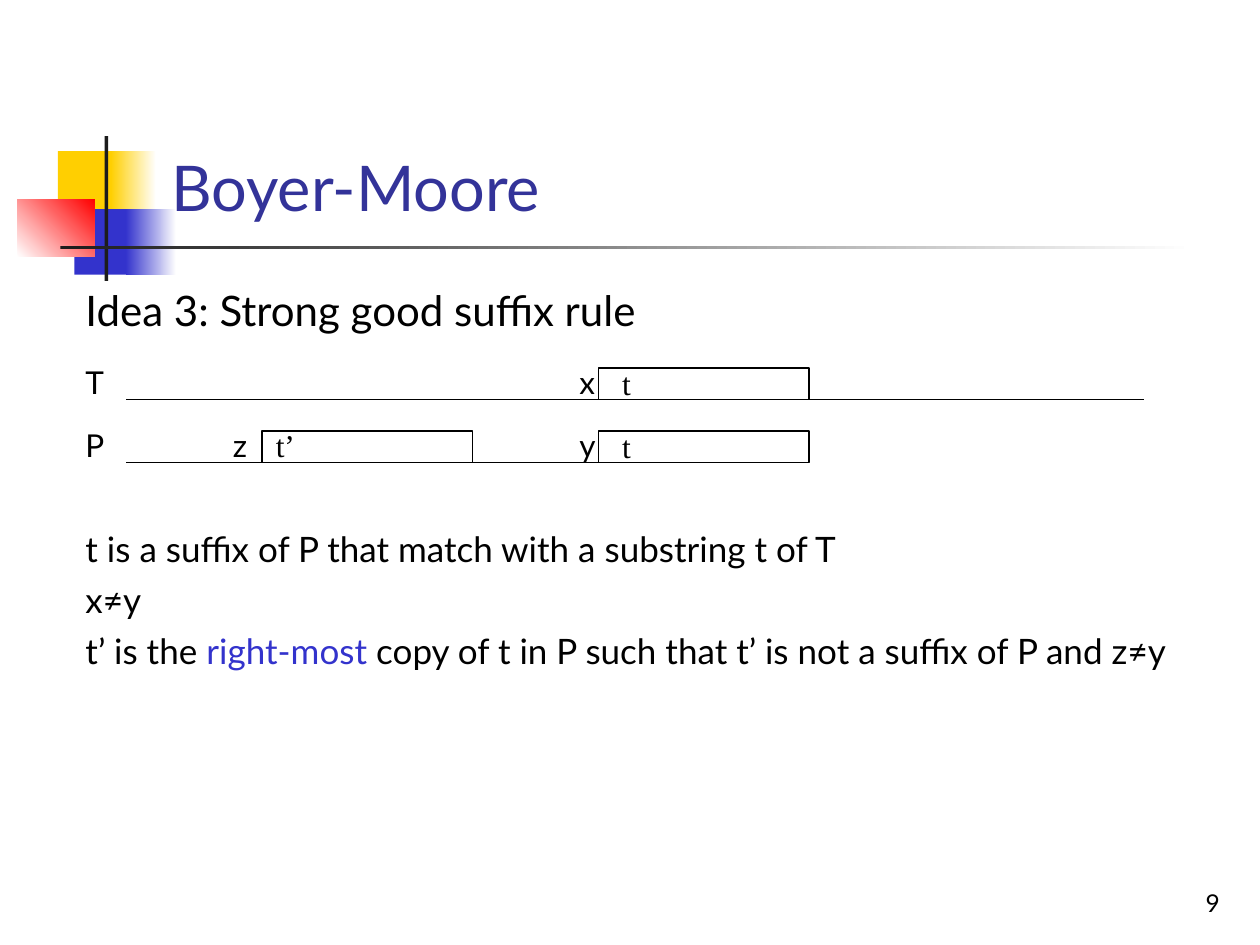
from lxml import etree
from pptx import Presentation
from pptx.dml.color import RGBColor
from pptx.enum.shapes import MSO_CONNECTOR, MSO_SHAPE
from pptx.enum.text import MSO_ANCHOR, MSO_AUTO_SIZE, PP_ALIGN
from pptx.oxml.ns import qn
from pptx.util import Inches, Pt

RECT, PROCESS = MSO_SHAPE.RECTANGLE, MSO_SHAPE.FLOWCHART_PROCESS
STRAIGHT = MSO_CONNECTOR.STRAIGHT
TOP, BOTTOM = MSO_ANCHOR.TOP, MSO_ANCHOR.BOTTOM
LEFT, RIGHT = PP_ALIGN.LEFT, PP_ALIGN.RIGHT
FIT_TEXT = MSO_AUTO_SIZE.SHAPE_TO_FIT_TEXT

COLORS = {
    "yellow": "FFCF01", "blue": "3333CC", "red": "FF0000", "white": "FFFFFF",
    "dark": "1C1C1C", "title": "333399", "black": "000000",
}
SANS, SERIF = "Lato", "Times New Roman"
ROW_T, ROW_P = 3.17, 3.67
BOX_W, BOX_H = 1.67, 0.25
SUFFIX_X, COPY_X = 4.75, 2.08


def rgb(name):
    return RGBColor.from_string(COLORS[name])


def add_block(slide, x, y, w, h, start, end=None, angle=0):
    """Add a decorative rectangle, plain or fading from start to end."""
    sp = slide.shapes.add_shape(RECT, Inches(x), Inches(y), Inches(w), Inches(h))
    sp.shadow.inherit = False
    sp.line.fill.background()
    if end is None:
        sp.fill.solid()
        sp.fill.fore_color.rgb = rgb(start)
        return
    sp.fill.gradient()
    sp.fill.gradient_angle = angle
    for stop, name in zip(sp.fill.gradient_stops, (start, end)):
        stop.color.rgb = rgb(name)


def add_text(slide, x, y, w, h, paragraphs, size=18, font=SANS, color="black",
             align=LEFT, anchor=TOP, wrap=True, fit=False, space=0):
    """Add a text box; a paragraph is a string or a list of (text, color) runs."""
    tf = slide.shapes.add_textbox(Inches(x), Inches(y), Inches(w), Inches(h)).text_frame
    tf.word_wrap = wrap
    tf.vertical_anchor = anchor
    if fit:
        tf.auto_size = FIT_TEXT
    for i, runs in enumerate(paragraphs):
        p = tf.add_paragraph() if i else tf.paragraphs[0]
        p.alignment = align
        if i and space:
            p.space_before = Pt(space)
        for text, run_color in [(runs, color)] if isinstance(runs, str) else runs:
            r = p.add_run()
            r.text = text
            r.font.size = Pt(size)
            r.font.name = font
            r.font.color.rgb = rgb(run_color)


def add_label(slide, x, y, w, text, **fmt):
    add_text(slide, x, y, w, 0.4, [text], fit=True, **fmt)


def add_string_line(slide, y, end):
    line = slide.shapes.add_connector(STRAIGHT, Inches(1), Inches(y), Inches(end), Inches(y))
    line.line.color.rgb = rgb("black")
    line.line.width = Pt(0.75)
    etree.SubElement(line._element.spPr, qn("a:effectLst"))


def add_substring(slide, x, row):
    """Add an unfilled box standing on the string line of a row."""
    sp = slide.shapes.add_shape(PROCESS, Inches(x), Inches(row - BOX_H),
                                Inches(BOX_W), Inches(BOX_H))
    sp.shadow.inherit = False
    sp.fill.background()
    sp.line.color.rgb = rgb("black")
    sp.line.width = Pt(0.75)


def add_decoration(slide):
    add_block(slide, 0.46, 1.2, 0.48, 0.52, "yellow")
    add_block(slide, 0.88, 1.2, 0.36, 0.52, "yellow", "white")
    add_block(slide, 0.59, 1.66, 0.46, 0.52, "blue")
    add_block(slide, 1, 1.66, 0.4, 0.52, "blue", "white")
    add_block(slide, 0.14, 1.58, 0.61, 0.46, "white", "red", angle=45)
    add_block(slide, 0.83, 1.08, 0.03, 1.15, "dark")
    add_block(slide, 0.48, 1.95, 9, 0.03, "dark", "white")


def add_diagram(slide):
    rows = [("T", "x", ROW_T, 9.08), ("P", "y", ROW_P, SUFFIX_X + BOX_W)]
    for name, mismatch, row, end in rows:
        top = row - 0.34
        add_string_line(slide, row, end)
        add_substring(slide, SUFFIX_X, row)
        add_label(slide, 0.58, top, 0.42, name)
        add_label(slide, 4.5, top, 0.33, mismatch, wrap=False)
        add_label(slide, 4.84, top + 0.01, 0.27, "t", font=SERIF, wrap=False)
    add_substring(slide, COPY_X, ROW_P)
    add_label(slide, 2.09, ROW_P - 0.34, 0.35, "t’", font=SERIF, wrap=False)
    add_label(slide, 1.75, ROW_P - 0.34, 0.31, "z", wrap=False)


def main():
    prs = Presentation()
    prs.slide_width, prs.slide_height = Inches(10), Inches(7.5)
    slide = prs.slides.add_slide(prs.slide_layouts[6])

    add_decoration(slide)
    add_text(slide, 7.7, 6.83, 2.08, 0.5, ["9"], size=14, align=RIGHT, anchor=BOTTOM)
    add_text(slide, 1.26, 0.23, 8.52, 1.6, ["Boyer-Moore"], size=36,
             color="title", anchor=BOTTOM)
    add_text(slide, 0.58, 2.21, 9.21, 0.5, ["Idea 3: Strong good suffix rule"], size=24)
    add_diagram(slide)
    add_text(slide, 0.58, 4.14, 9.21, 2.57, [
        "t is a suffix of P that match with a substring t of T",
        "x≠y",
        [("t’ is the ", "black"), ("right-most", "blue"),
         (" copy of t in P such that t’ is not a suffix of P and z≠y", "black")],
    ], size=20, space=5)

    prs.save("out.pptx")


if __name__ == "__main__":
    main()
